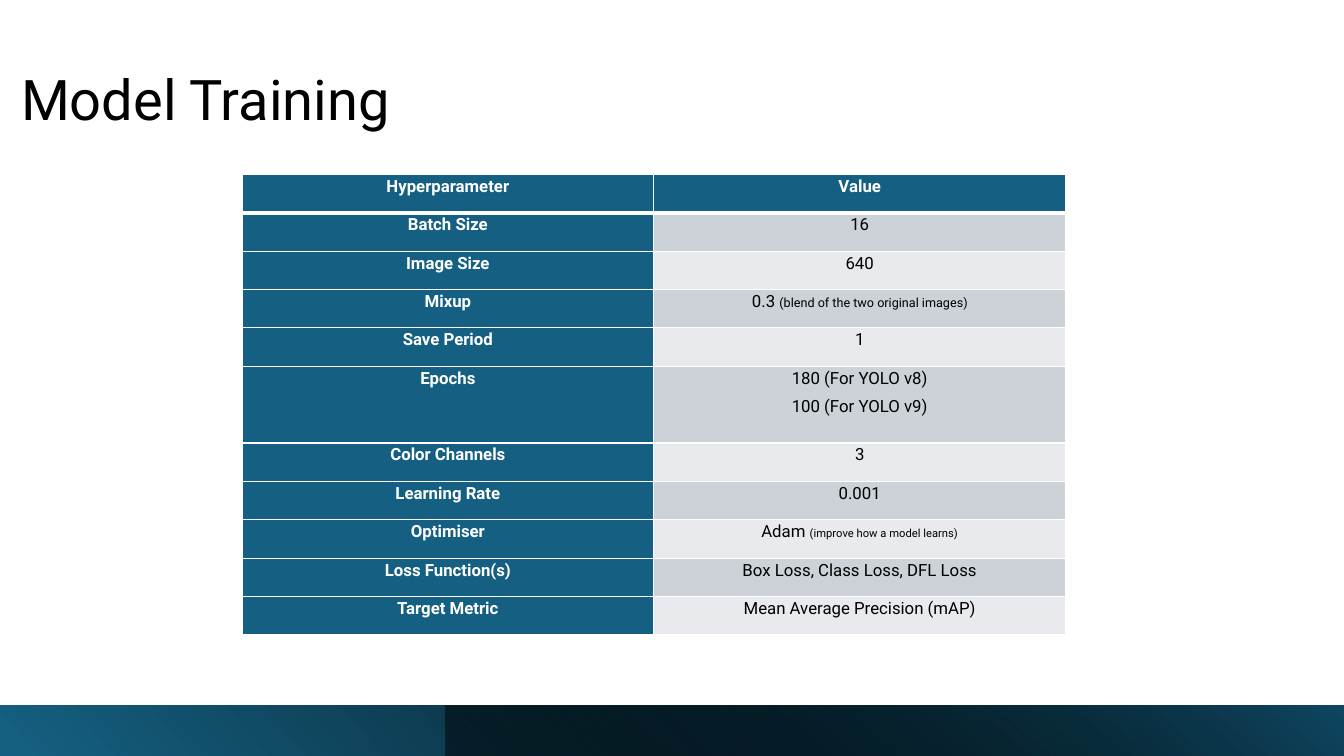
from lxml import etree
from pptx import Presentation
from pptx.dml.color import RGBColor
from pptx.enum.shapes import MSO_SHAPE
from pptx.enum.text import MSO_ANCHOR, PP_ALIGN
from pptx.oxml.ns import qn
from pptx.util import Inches, Pt

RECTANGLE = MSO_SHAPE.RECTANGLE
BOTTOM = MSO_ANCHOR.BOTTOM
LEFT, CENTER = PP_ALIGN.LEFT, PP_ALIGN.CENTER
FONT = "Roboto"
COLORS = {
    "blue": "156082",
    "deep blue": "104862",
    "black": "000000",
    "white": "FFFFFF",
    "dark band": "CCD2D8",
    "light band": "E8EAED",
}
HYPERPARAMETERS = [
    ("Hyperparameter", ["Value"]),
    ("Batch Size", ["16"]),
    ("Image Size", ["640"]),
    ("Mixup", [[("0.3 ", 12), ("(blend of the two original images)", 9)]]),
    ("Save Period", ["1"]),
    ("Epochs", ["180 (For YOLO v8)", "100 (For YOLO v9)"]),
    ("Color Channels", ["3"]),
    ("Learning Rate", ["0.001"]),
    ("Optimiser", [[("Adam ", 12), ("(improve how a model learns)", 8)]]),
    ("Loss Function(s)", ["Box Loss, Class Loss, DFL Loss"]),
    ("Target Metric", ["Mean Average Precision (mAP)"]),
]


def rgb(name):
    """Return the named colour."""
    return RGBColor.from_string(COLORS[name])


def write_text(frame, paragraphs, size=12, color="black", bold=False,
               align=CENTER, line_spacing=1.07, space_after=5):
    """Fill a text frame; a paragraph is a string or a list of (text, size)."""
    for index, content in enumerate(paragraphs):
        paragraph = frame.paragraphs[0] if index == 0 else frame.add_paragraph()
        paragraph.alignment = align
        paragraph.line_spacing = line_spacing
        paragraph.space_after = Pt(space_after)
        pieces = [(content, size)] if isinstance(content, str) else content
        for text, points in pieces:
            run = paragraph.add_run()
            run.text = text
            run.font.name = FONT
            run.font.size = Pt(points)
            run.font.bold = bold
            run.font.color.rgb = rgb(color)


def add_title(slide, text):
    """Add the slide title."""
    box = slide.shapes.add_textbox(Inches(0), Inches(0.19), Inches(6.29), Inches(1.17))
    frame = box.text_frame
    frame.word_wrap = True
    frame.vertical_anchor = BOTTOM
    frame.margin_left = Inches(0.21)
    write_text(frame, [text], size=40, align=LEFT, line_spacing=0.9, space_after=0)


def add_gradient_bar(slide, left, width, stops, angle, rotation=0):
    """Add a mirrored footer bar with (position, colour, opacity) stops."""
    bar = slide.shapes.add_shape(RECTANGLE, Inches(left), Inches(7), Inches(width), Inches(0.5))
    bar.shadow.inherit = False
    bar.line.fill.background()
    bar.rotation = rotation
    properties = bar.fill._xPr
    properties.find(qn("a:xfrm")).set("flipH", "1")
    bar.fill.gradient()
    gradient = properties.find(qn("a:gradFill"))
    stop_list = gradient.find(qn("a:gsLst"))
    for stop in list(stop_list):
        stop_list.remove(stop)
    for position, color, opacity in stops:
        stop = etree.SubElement(stop_list, qn("a:gs"), pos=str(position * 1000))
        value = etree.SubElement(stop, qn("a:srgbClr"), val=COLORS[color])
        if opacity < 100:
            etree.SubElement(value, qn("a:alpha"), val=str(opacity * 1000))
    gradient.find(qn("a:lin")).set("ang", str(angle * 60000))


def set_borders(cell, top, bottom):
    """Draw white cell borders with the given top and bottom widths."""
    properties = cell._tc.get_or_add_tcPr()
    for side, points in (("L", 1), ("R", 1), ("T", top), ("B", bottom)):
        line = etree.SubElement(properties, qn(f"a:ln{side}"), w=str(Pt(points)))
        fill = etree.SubElement(line, qn("a:solidFill"))
        etree.SubElement(fill, qn("a:srgbClr"), val=COLORS["white"])


def format_cell(cell, paragraphs, row, fill, **text_format):
    """Write, border and fill one table cell."""
    cell.margin_left = cell.margin_right = Inches(0.08)
    cell.margin_top, cell.margin_bottom = Inches(0.01), Inches(0)
    write_text(cell.text_frame, paragraphs, **text_format)
    set_borders(cell, top=3 if row == 1 else 1, bottom=3 if row == 0 else 1)
    cell.fill.solid()
    cell.fill.fore_color.rgb = rgb(fill)


def add_hyperparameter_table(slide):
    """Add the table of hyperparameters and their values."""
    width, height = Inches(8.17), Inches(4.57)
    table = slide.shapes.add_table(
        len(HYPERPARAMETERS), 2, Inches(2.4), Inches(1.73), width, height).table
    line_height = height // sum(len(values) for _, values in HYPERPARAMETERS)
    heading = {"color": "white", "bold": True}
    for row, (name, values) in enumerate(HYPERPARAMETERS):
        table.rows[row].height = line_height * len(values)
        format_cell(table.cell(row, 0), [name], row, "blue", **heading)
        band = "dark band" if row % 2 else "light band"
        if row == 0:
            format_cell(table.cell(row, 1), values, row, "blue", **heading)
        else:
            format_cell(table.cell(row, 1), values, row, band)


def main():
    """Build and save the slide."""
    presentation = Presentation()
    presentation.slide_width, presentation.slide_height = Inches(13.33), Inches(7.5)
    slide = presentation.slides.add_slide(presentation.slide_layouts[6])
    add_title(slide, "Model Training")
    add_gradient_bar(slide, 0, 13.33, [(0, "blue", 100), (90, "black", 100)], 40, rotation=180)
    add_gradient_bar(slide, 4.42, 8.91, [(0, "black", 50), (100, "deep blue", 100)], 230)
    add_hyperparameter_table(slide)
    presentation.save("out.pptx")


if __name__ == "__main__":
    main()
